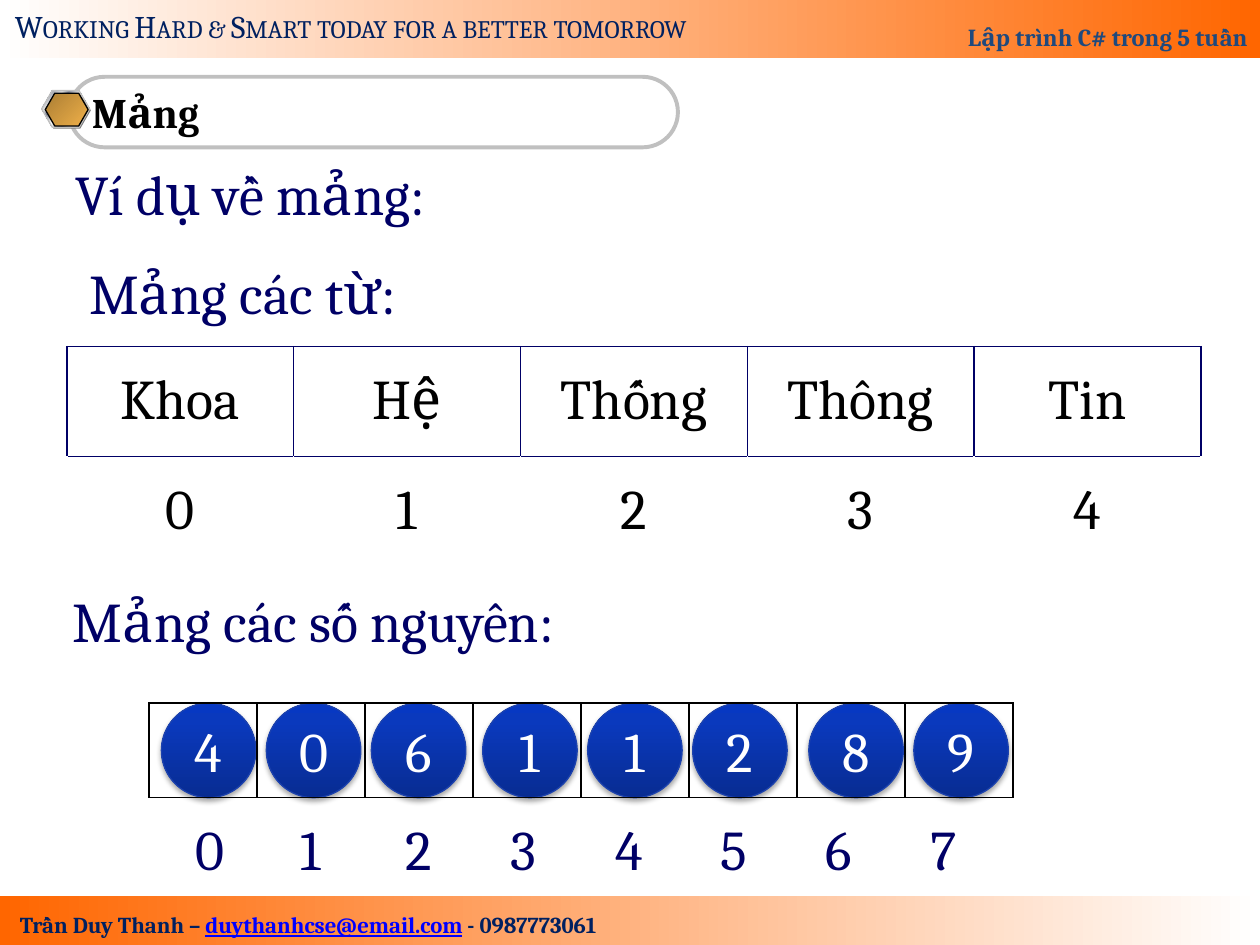
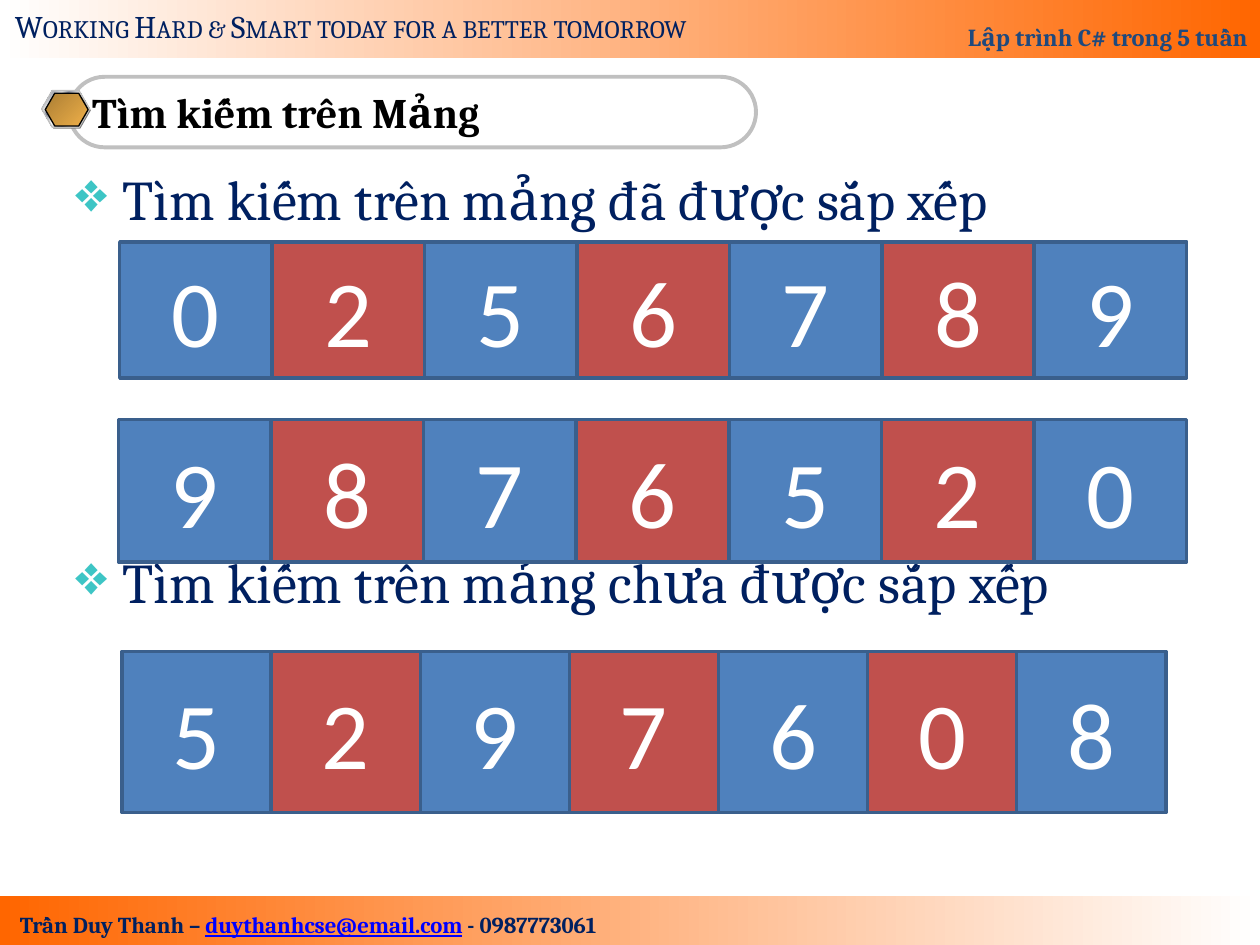
"""Build two lecture slides about arrays and searching them."""
from dataclasses import dataclass
from itertools import cycle

from lxml.etree import SubElement
from pptx import Presentation
from pptx.dml.color import RGBColor
from pptx.enum.shapes import MSO_SHAPE
from pptx.enum.text import MSO_ANCHOR, PP_ALIGN
from pptx.oxml.ns import qn
from pptx.util import Pt

NAVY, DEEP_BLUE, BLACK, WHITE = "000066", "002060", "000000", "FFFFFF"
SILVER, ORANGE = "C0C0C0", "FF6600"
BLUE_CELL, RED_CELL, CELL_EDGE = "4F81BD", "C0504D", "3A5F8C"
BAND = ((0, WHITE), (100, ORANGE))
FOOTER_BAND = ((0, ORANGE), (100, WHITE))
GOLD = ((0, "AB7E34"), (100, "EFB049"))
BALL = ((0, "082C92"), (80, "0A39BD"), (100, "0738C2"))
CHROME = tuple(zip(
    (0, 7, 26, 34, 46, 50, 54, 66, 74, 93, 100),
    ("E6E6E6", "7D8496", "E6E6E6", "7D8496", "E6E6E6", WHITE,
     "E6E6E6", "7D8496", "E6E6E6", "7D8496", "E6E6E6")))


@dataclass(frozen=True)
class Area:
    """Place and size in points."""
    left: float
    top: float
    width: float
    height: float

    def lengths(self):
        """Return the four lengths for python-pptx."""
        return Pt(self.left), Pt(self.top), Pt(self.width), Pt(self.height)


@dataclass(frozen=True)
class Span:
    """One run of text and its look."""
    text: str
    size: float = 32
    color: str = NAVY
    bold: bool = False
    underline: bool = False
    small_caps: bool = False
    font: str = "Cambria"


@dataclass(frozen=True)
class Look:
    """Fill, outline and gradient of a shape."""
    fill: str = ""
    stops: tuple = ()
    angle: float = 0
    line: str = ""
    line_width: float = 0.75


@dataclass(frozen=True)
class NumberRow:
    """A row of adjoining cells, one digit in each."""
    first: Area
    digits: str


def rgb(code: str) -> RGBColor:
    """Turn a hex string into a colour."""
    return RGBColor.from_string(code)


def add_span(para, span: Span) -> None:
    """Append one run to a paragraph."""
    run = para.add_run()
    run.text = span.text
    font = run.font
    font.name, font.size, font.bold = span.font, Pt(span.size), span.bold
    font.color.rgb = rgb(span.color)
    if span.underline:
        font.underline = True
    if span.small_caps:
        run._r.get_or_add_rPr().set("cap", "small")


def write(frame, spans, align=PP_ALIGN.LEFT, anchor=MSO_ANCHOR.TOP) -> None:
    """Fill a text frame with a single paragraph."""
    frame.word_wrap = True
    frame.vertical_anchor = anchor
    para = frame.paragraphs[0]
    para.alignment = align
    for span in spans:
        add_span(para, span)


def add_text(page, area: Area, *spans: Span, align=PP_ALIGN.LEFT) -> None:
    """Add a text box with one paragraph."""
    box = page.shapes.add_textbox(*area.lengths())
    write(box.text_frame, spans, align)


def paint_gradient(shape, stops, angle: float) -> None:
    """Give a shape a linear gradient with any number of stops."""
    shape.fill.gradient()
    shape.fill.gradient_angle = (360 - angle) % 360
    stop_list = shape.element.spPr.find(".//" + qn("a:gsLst"))
    for old in list(stop_list):
        stop_list.remove(old)
    for position, color in stops:
        stop = SubElement(stop_list, qn("a:gs"), pos=str(position * 1000))
        SubElement(stop, qn("a:srgbClr"), val=color)


def add_shape(page, kind, area: Area, look: Look):
    """Add a preset shape without a theme shadow."""
    shape = page.shapes.add_shape(kind, *area.lengths())
    shape.shadow.inherit = False
    if look.stops:
        paint_gradient(shape, look.stops, look.angle)
    elif look.fill:
        shape.fill.solid()
        shape.fill.fore_color.rgb = rgb(look.fill)
    else:
        shape.fill.background()
    if look.line:
        shape.line.color.rgb = rgb(look.line)
        shape.line.width = Pt(look.line_width)
    else:
        shape.line.fill.background()
    return shape


def drop_shadow(shape) -> None:
    """Add a soft shadow straight below a shape."""
    effects = shape.element.spPr.find(qn("a:effectLst"))
    shadow = SubElement(effects, qn("a:outerShdw"), blurRad=str(Pt(3.1)),
                        dist=str(Pt(1.8)), dir="5400000", rotWithShape="0")
    color = SubElement(shadow, qn("a:srgbClr"), val=BLACK)
    SubElement(color, qn("a:alpha"), val="35000")


def border(cell, color: str, sides: str) -> None:
    """Draw the named sides of a cell, each one point wide."""
    cell_properties = cell._tc.get_or_add_tcPr()
    for place, side in enumerate(sides):
        line = cell_properties.makeelement(qn(f"a:ln{side}"), w=str(Pt(1)))
        fill = SubElement(line, qn("a:solidFill"))
        SubElement(fill, qn("a:srgbClr"), val=color)
        cell_properties.insert(place, line)


def add_array_table(page, area: Area, rows: int, columns: int, color: str):
    """Add a table whose first row alone is ruled."""
    table = page.shapes.add_table(rows, columns, *area.lengths()).table
    table.first_row = table.horz_banding = False
    for row_number, row in enumerate(table.rows):
        row.height = Pt(area.height / rows)
        for cell in row.cells:
            cell.fill.background()
            border(cell, color, "T" if row_number else "LRTB")
    for column in table.columns:
        column.width = Pt(area.width / columns)
    return table


def add_title(page, title: str, width: float) -> None:
    """Add the rounded title bar and its hexagon badge."""
    bar = add_shape(page, MSO_SHAPE.ROUNDED_RECTANGLE,
                    Area(39.6, 43.9, width, 40.3),
                    Look(line=SILVER, line_width=2.25))
    bar.adjustments[0] = 0.5
    write(bar.text_frame, [Span(title, 24, BLACK, bold=True)],
          anchor=MSO_ANCHOR.MIDDLE)
    badge = (
        (Area(24.5, 52.6, 27.4, 20.9), Look(fill="808080")),
        (Area(23.8, 51.8, 27.4, 20.9),
         Look(stops=CHROME, angle=45, line=SILVER)),
        (Area(25.9, 53.3, 24.5, 18.7),
         Look(stops=GOLD, angle=45, line=BLACK)),
    )
    for area, look in badge:
        hexagon = add_shape(page, MSO_SHAPE.HEXAGON, area, look)
        hexagon.adjustments[0] = 0.289
        hexagon.adjustments[1] = 1.155


def add_page(deck, title: str, title_width: float):
    """Add a slide with the shared bands, contact line and title."""
    page = deck.slides.add_slide(deck.slide_layouts[6])
    add_shape(page, MSO_SHAPE.RECTANGLE, Area(0, 511.9, 720, 28.1),
              Look(stops=FOOTER_BAND))
    header = add_shape(page, MSO_SHAPE.RECTANGLE, Area(0, 0, 720, 33.1),
                       Look(stops=BAND))
    write(header.text_frame,
          [Span("Lập trình C# trong 5 tuần", 14, "1F497D", bold=True)],
          PP_ALIGN.RIGHT, MSO_ANCHOR.BOTTOM)
    add_text(page, Area(-5.8, 517, 363.6, 23),
             Span("Trần Duy Thanh – ", 13, DEEP_BLUE, bold=True),
             Span("duythanhcse@email.com", 13, "0000FF", bold=True,
                  underline=True),
             Span(" - 0987773061", 13, DEEP_BLUE, bold=True),
             align=PP_ALIGN.CENTER)
    add_text(page, Area(1.4, 0.7, 424.8, 28.8),
             Span("Working Hard & Smart today for a better tomorrow", 18,
                  DEEP_BLUE, small_caps=True))
    add_title(page, title, title_width)
    return page


def add_balls(page, left: float, digits: str) -> None:
    """Add a run of numbered balls at an even pitch."""
    for number, digit in enumerate(digits):
        ball = add_shape(page, MSO_SHAPE.OVAL,
                         Area(left + 60 * number, 401.8, 54, 54),
                         Look(stops=BALL, angle=270, line="1C42AE"))
        drop_shadow(ball)
        write(ball.text_frame, [Span(digit, color=WHITE)],
              PP_ALIGN.CENTER, MSO_ANCHOR.MIDDLE)


def build_array_page(deck) -> None:
    """Show an array of words and an array of integers."""
    page = add_page(deck, "Mảng", 347.8)
    words = ("Khoa", "Hệ", "Thống", "Thông", "Tin")
    table = add_array_table(page, Area(38.2, 198, 648, 126), 2, 5, NAVY)
    for column, word in enumerate(words):
        for row, text in enumerate((word, str(column))):
            cell = table.cell(row, column)
            write(cell.text_frame, [Span(text, color=BLACK)],
                  PP_ALIGN.CENTER)
            cell.vertical_anchor = MSO_ANCHOR.MIDDLE
    add_text(page, Area(43.9, 144, 336.2, 46.1), Span("Mảng các từ:"))
    add_text(page, Area(34.6, 331.9, 296.6, 46.1),
             Span("Mảng các số nguyên:"))
    for left, digits in ((92.2, "406"), (275.8, "112"), (462.2, "89")):
        add_balls(page, left, digits)
    for index in range(8):
        add_text(page, Area(104.4 + 60 * index, 462.2, 30.2, 46.1),
                 Span(str(index)))
    add_text(page, Area(36, 87.8, 336.2, 46.1), Span("Ví dụ về mảng:"))
    add_array_table(page, Area(85, 401.8, 494, 54), 1, 8, BLACK)


def add_bullet(para, text: str, gap: float) -> None:
    """Write a bulleted paragraph with a gap above it."""
    para.space_before = Pt(gap)
    properties = para._p.get_or_add_pPr()
    properties.set("marL", str(Pt(27)))
    properties.set("indent", str(-Pt(27)))
    color = SubElement(properties, qn("a:buClr"))
    SubElement(color, qn("a:srgbClr"), val="3DC5C5")
    SubElement(properties, qn("a:buChar"), char="❖")
    add_span(para, Span(text, color=DEEP_BLUE))


def add_number_row(page, row: NumberRow) -> None:
    """Draw a row of cells in alternating colours."""
    first = row.first
    for column, (digit, fill) in enumerate(
            zip(row.digits, cycle((BLUE_CELL, RED_CELL)))):
        area = Area(first.left + first.width * column, first.top,
                    first.width, first.height)
        cell = add_shape(page, MSO_SHAPE.RECTANGLE, area,
                         Look(fill=fill, line=CELL_EDGE, line_width=2))
        write(cell.text_frame, [Span(digit, 54, WHITE, font="Calibri")],
              PP_ALIGN.CENTER, MSO_ANCHOR.MIDDLE)


def build_search_page(deck) -> None:
    """Show sorted and unsorted arrays to search."""
    page = add_page(deck, "Tìm kiếm trên Mảng", 392.4)
    box = page.shapes.add_textbox(*Area(36, 90.7, 648, 413.3).lengths())
    frame = box.text_frame
    frame.word_wrap = True
    add_bullet(frame.paragraphs[0], "Tìm kiếm trên mảng đã được sắp xếp", 0)
    add_bullet(frame.add_paragraph(),
               "Tìm kiếm trên mảng chưa được sắp xếp", 180)
    for row in (NumberRow(Area(68.4, 138.2, 87.1, 77.8), "0256789"),
                NumberRow(Area(69.8, 372.2, 85.2, 92.2), "5297608"),
                NumberRow(Area(67.7, 239.8, 87.2, 81.4), "9876520")):
        add_number_row(page, row)


def main() -> None:
    """Build and save the deck."""
    deck = Presentation()
    deck.slide_width, deck.slide_height = Pt(720), Pt(540)
    build_array_page(deck)
    build_search_page(deck)
    deck.save("out.pptx")


main()
